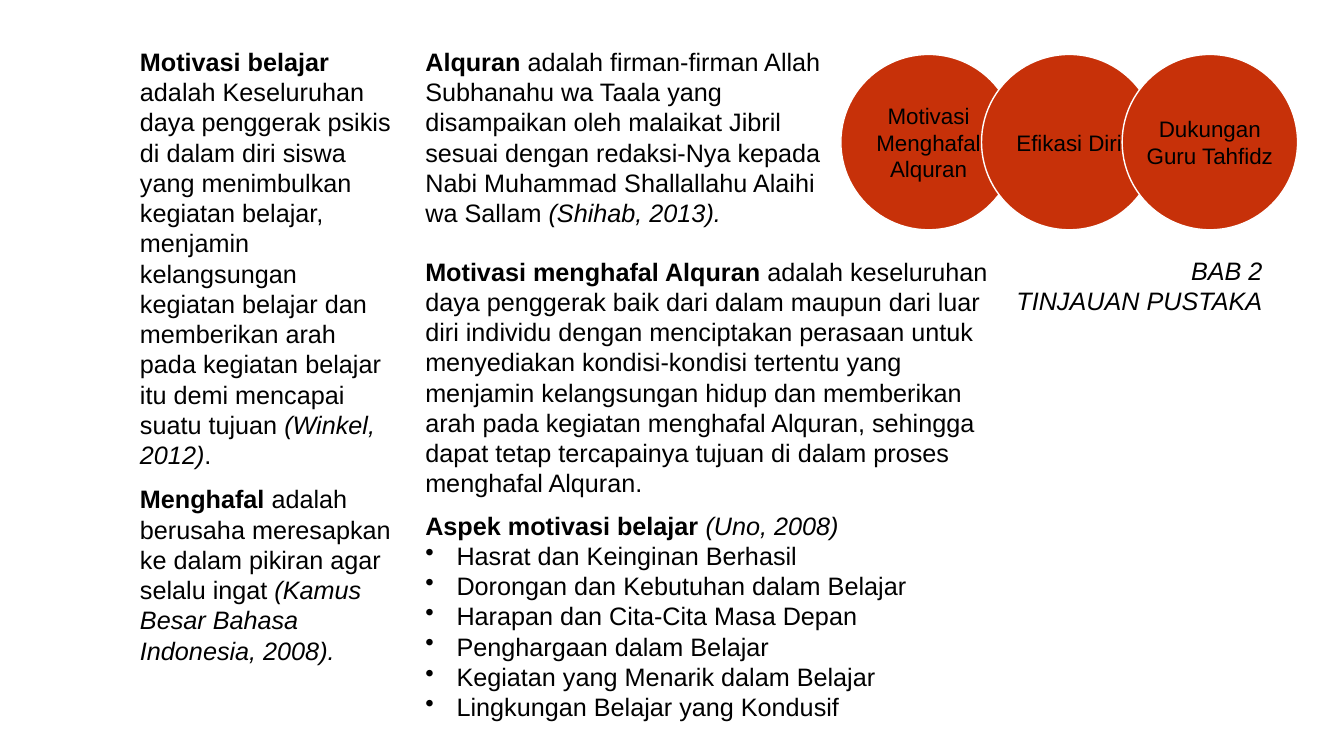
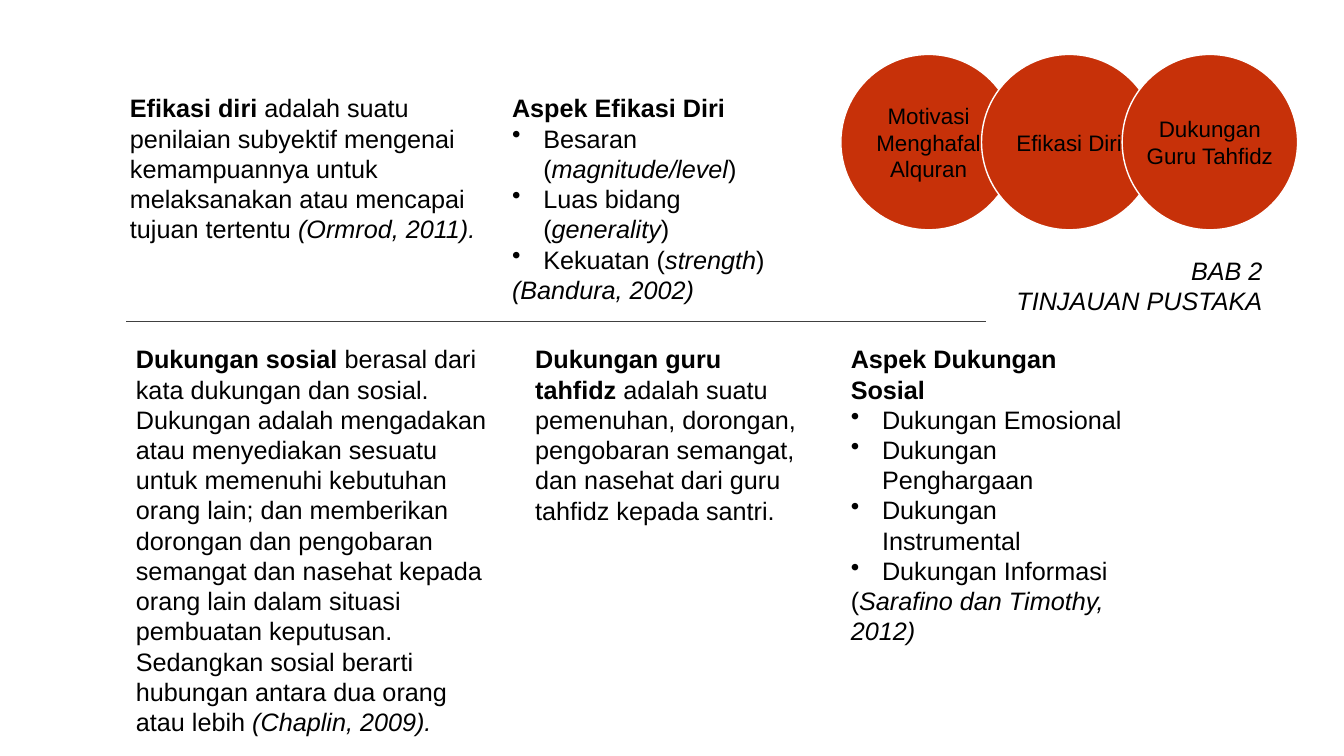
from lxml import etree
from pptx import Presentation
from pptx.dml.color import RGBColor
from pptx.enum.shapes import MSO_CONNECTOR, MSO_SHAPE
from pptx.enum.text import MSO_ANCHOR, PP_ALIGN
from pptx.oxml.ns import qn
from pptx.util import Inches, Pt

OVAL = MSO_SHAPE.OVAL
STRAIGHT = MSO_CONNECTOR.STRAIGHT
MIDDLE = MSO_ANCHOR.MIDDLE
LEFT, CENTER, RIGHT = PP_ALIGN.LEFT, PP_ALIGN.CENTER, PP_ALIGN.RIGHT

# Shared style
FONT = "Arial"
RED, BLACK, WHITE, RULE = "C73109", "000000", "FFFFFF", "404040"
BODY_SIZE, CIRCLE_SIZE = 18, 16
BULLET_INDENT = 0.31

# Shared header: overlapping circles and chapter label
TOPICS = ["Motivasi\vMenghafal\vAlquran", "Efikasi Diri", "Dukungan\vGuru Tahfidz"]
CIRCLE_LEFT, CIRCLE_TOP, CIRCLE_SIDE, CIRCLE_STEP = 8.34, 0.54, 1.74, 1.395


def rgb(value):
    return RGBColor.from_string(value)


def style(p, size, align=LEFT):
    p.alignment = align
    p.font.name = FONT
    p.font.size = Pt(size)
    p.font.color.rgb = rgb(BLACK)


def bold(text):
    return text, "b"


def italic(text):
    return text, "i"


def bullet(*parts):
    return ("•", *parts)


def add_bullet(p):
    pPr = p._p.get_or_add_pPr()
    pPr.set("marL", str(Inches(BULLET_INDENT)))
    pPr.set("indent", str(-Inches(BULLET_INDENT)))
    buChar = etree.Element(qn("a:buChar"), char="•")
    pPr.insert(0, buChar)


def add_text(s, x, y, w, h, paragraphs, align=LEFT, wrap=True):
    """Each paragraph is a tuple of plain strings and (text, mark) runs."""
    tf = s.shapes.add_textbox(Inches(x), Inches(y), Inches(w), Inches(h)).text_frame
    tf.word_wrap = wrap
    for i, parts in enumerate(paragraphs):
        p = tf.paragraphs[0] if i == 0 else tf.add_paragraph()
        if parts[0] == "•":
            add_bullet(p)
            parts = parts[1:]
        style(p, BODY_SIZE, align)
        for part in parts:
            text, mark = (part, "") if isinstance(part, str) else part
            r = p.add_run()
            r.text = text
            if mark == "b":
                r.font.bold = True
            elif mark == "i":
                r.font.italic = True


def add_circle(s, x, text):
    sp = s.shapes.add_shape(OVAL, Inches(x), Inches(CIRCLE_TOP),
                            Inches(CIRCLE_SIDE), Inches(CIRCLE_SIDE))
    sp.shadow.inherit = False
    sp.fill.solid()
    sp.fill.fore_color.rgb = rgb(RED)
    sp.line.color.rgb = rgb(WHITE)
    sp.line.width = Pt(1)
    tf = sp.text_frame
    tf.word_wrap = False
    tf.vertical_anchor = MIDDLE
    tf.text = text
    style(tf.paragraphs[0], CIRCLE_SIZE, CENTER)


def add_rule(s, x1, x2, y):
    line = s.shapes.add_connector(STRAIGHT, Inches(x1), Inches(y), Inches(x2), Inches(y))
    line.line.color.rgb = rgb(RULE)
    line.line.width = Pt(0.75)
    etree.SubElement(line._element.spPr, qn("a:effectLst"))


def add_chapter_slide(prs):
    s = prs.slides.add_slide(prs.slide_layouts[6])
    for i, topic in enumerate(TOPICS):
        add_circle(s, CIRCLE_LEFT + i * CIRCLE_STEP, topic)
    add_text(s, 9.98, 2.48, 2.64, 0.71,
             [(italic("BAB 2"),), (italic("TINJAUAN PUSTAKA"),)], RIGHT, wrap=False)
    return s


def build_motivation(prs):
    s = add_chapter_slide(prs)
    # Left column: basic terms
    add_text(s, 1.29, 0.41, 2.73, 4.34, [(
        bold("Motivasi belajar"),
        " adalah Keseluruhan daya penggerak psikis di dalam diri siswa yang "
        "menimbulkan kegiatan belajar, menjamin kelangsungan kegiatan belajar dan "
        "memberikan arah pada kegiatan belajar itu demi mencapai suatu tujuan ",
        italic("(Winkel, 2012)"), ".")])
    add_text(s, 1.29, 4.75, 2.83, 1.92, [(
        bold("Menghafal"),
        " adalah berusaha meresapkan ke dalam pikiran agar selalu ingat ",
        italic("(Kamus Besar Bahasa Indonesia, 2008)."))])
    # Middle column: definitions and aspects
    add_text(s, 4.12, 0.41, 4.12, 1.92, [(
        bold("Alquran"),
        " adalah firman-firman Allah Subhanahu wa Taala yang disampaikan oleh "
        "malaikat Jibril sesuai dengan redaksi-Nya kepada Nabi Muhammad "
        "Shallallahu Alaihi wa Sallam ",
        italic("(Shihab, 2013)."))])
    add_text(s, 4.12, 2.49, 5.96, 2.52, [(
        bold("Motivasi menghafal Alquran"),
        " adalah keseluruhan daya penggerak baik dari dalam maupun dari luar diri "
        "individu dengan menciptakan perasaan untuk menyediakan kondisi-kondisi "
        "tertentu yang menjamin kelangsungan hidup dan memberikan arah pada "
        "kegiatan menghafal Alquran, sehingga dapat tetap tercapainya tujuan di "
        "dalam proses menghafal Alquran.")])
    add_text(s, 4.12, 5.01, 7.07, 2.22, [
        (bold("Aspek motivasi belajar "), italic("(Uno, 2008)")),
        bullet("Hasrat dan Keinginan Berhasil"),
        bullet("Dorongan dan Kebutuhan dalam Belajar"),
        bullet("Harapan dan Cita-Cita Masa Depan"),
        bullet("Penghargaan dalam Belajar"),
        bullet("Kegiatan yang Menarik dalam Belajar"),
        bullet("Lingkungan Belajar yang Kondusif")])


def build_efficacy_and_support(prs):
    s = add_chapter_slide(prs)
    # Upper row: self-efficacy
    add_text(s, 1.19, 0.87, 3.79, 1.61, [(
        bold("Efikasi diri"),
        " adalah suatu penilaian subyektif mengenai kemampuannya untuk "
        "melaksanakan atau mencapai tujuan tertentu ",
        italic("(Ormrod, 2011)."))])
    add_text(s, 4.98, 0.87, 3.05, 2.22, [
        (bold("Aspek Efikasi Diri"),),
        bullet("Besaran (", italic("magnitude/level"), ")"),
        bullet("Luas bidang (", italic("generality"), ")"),
        bullet("Kekuatan (", italic("strength"), ")"),
        (italic("(Bandura, 2002)"),)])
    add_rule(s, 1.25, 9.78, 3.19)
    # Lower row: social support
    add_text(s, 1.25, 3.36, 3.73, 4.04, [(
        bold("Dukungan sosial"),
        " berasal dari kata dukungan dan sosial. Dukungan adalah mengadakan atau "
        "menyediakan sesuatu untuk memenuhi kebutuhan orang lain; dan memberikan "
        "dorongan dan pengobaran semangat dan nasehat kepada orang lain dalam "
        "situasi pembuatan keputusan. Sedangkan sosial berarti hubungan antara "
        "dua orang atau lebih ",
        italic("(Chaplin, 2009)."))])
    add_text(s, 5.21, 3.36, 2.91, 1.92, [(
        bold("Dukungan guru tahfidz "),
        "adalah suatu pemenuhan, dorongan, pengobaran semangat, dan nasehat dari "
        "guru tahfidz kepada santri.")])
    add_text(s, 8.34, 3.36, 2.9, 3.13, [
        (bold("Aspek Dukungan Sosial"),),
        bullet("Dukungan Emosional"),
        bullet("Dukungan Penghargaan"),
        bullet("Dukungan Instrumental"),
        bullet("Dukungan Informasi"),
        ("(", italic("Sarafino dan Timothy, 2012)"))])


def main():
    prs = Presentation()
    prs.slide_width, prs.slide_height = Inches(13.33), Inches(7.5)
    build_motivation(prs)
    build_efficacy_and_support(prs)
    prs.save("out.pptx")


if __name__ == "__main__":
    main()
